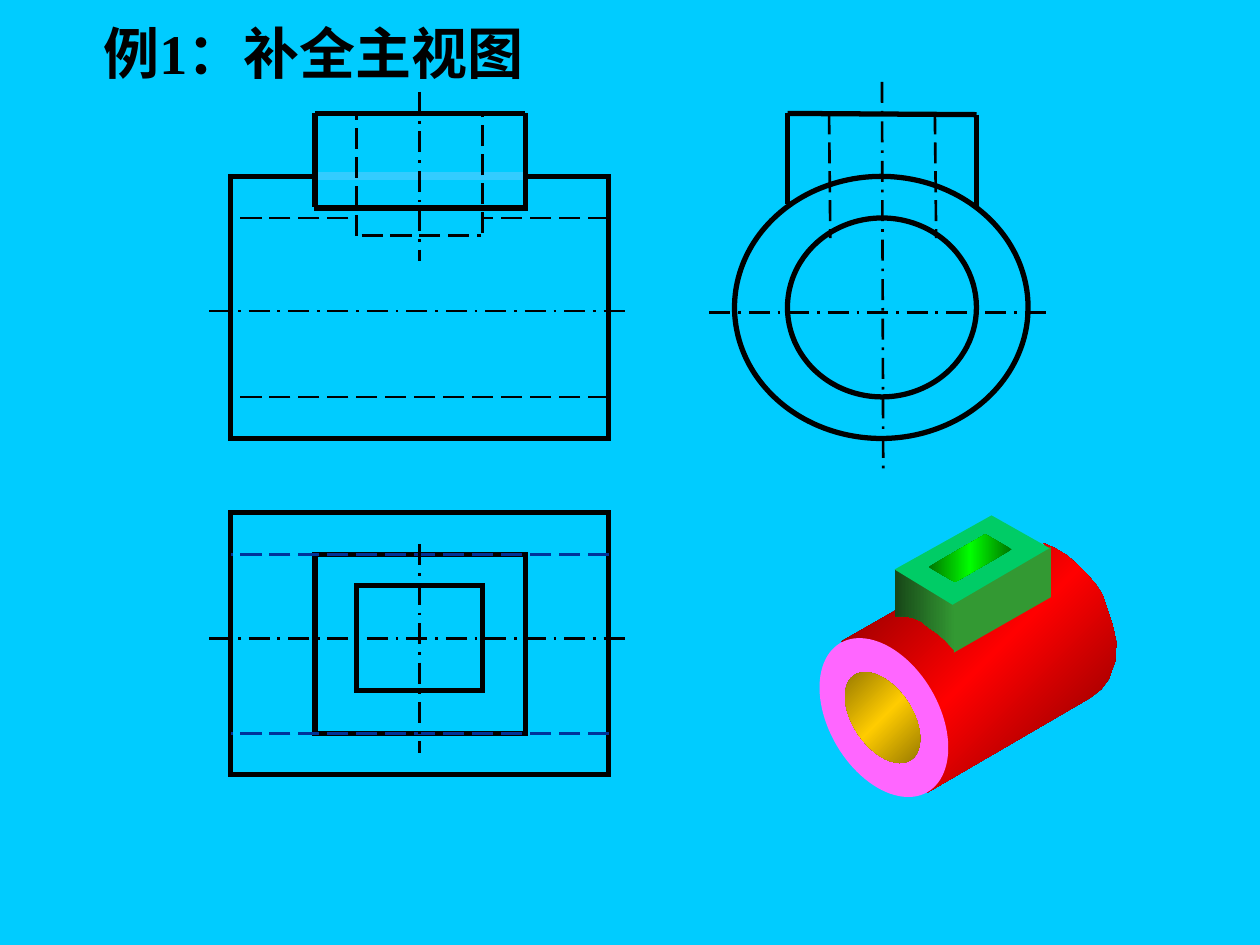
from pptx import Presentation
from pptx.dml.color import RGBColor
from pptx.enum.dml import MSO_LINE
from pptx.enum.shapes import MSO_CONNECTOR, MSO_SHAPE
from pptx.enum.text import MSO_ANCHOR, MSO_AUTO_SIZE, PP_ALIGN
from pptx.oxml import parse_xml
from pptx.oxml.ns import nsdecls, qn
from pptx.util import Inches, Pt

TITLE = "例1：补全主视图"
COLORS = {
    "background": "00CCFF", "ink": "000000", "hidden": "003399", "faint": "33CCFF",
    "ring": "FF66FF", "side": "339933", "top": "00CC66",
    "red": "FF0000", "dark red": "750000", "side shade": "174617",
    "green": "00FF00", "dark green": "007500", "gold": "FFCC00", "dark gold": "755E00",
}
STYLES = {
    "solid": ("ink", 3, None),
    "dash": ("ink", 1.5, MSO_LINE.LONG_DASH),
    "axis": ("ink", 1.5, MSO_LINE.LONG_DASH_DOT),
    "hidden": ("hidden", 1.5, MSO_LINE.LONG_DASH),
    "erase": ("background", 3, None),
    "faint": ("faint", 4.5, None),
}
GRADIENTS = {
    "cylinder": (("dark red", "red", "dark red"), 225),
    "end face": (("side", "side shade"), 180),
    "slot": (("dark green", "green", "dark green"), 180),
    "bore": (("dark gold", "gold", "dark gold"), 225),
}

OUTLINES = [
    (MSO_SHAPE.RECTANGLE, 1.83, 1.4, 3, 2.08),
    (MSO_SHAPE.RECTANGLE, 1.83, 4.07, 3, 2.08),
    (MSO_SHAPE.RECTANGLE, 2.5, 4.4, 1.67, 1.42),
    (MSO_SHAPE.RECTANGLE, 2.83, 4.65, 1, 0.83),
    (MSO_SHAPE.OVAL, 5.83, 1.4, 2.33, 2.08),
    (MSO_SHAPE.OVAL, 6.25, 1.73, 1.5, 1.42),
]
FRONT_VIEW = [
    ("axis", 1.66, 2.47, 4.98, 2.47),
    ("dash", 4.83, 1.73, 1.83, 1.73),
    ("dash", 4.83, 3.15, 1.83, 3.15),
    ("solid", 2.49, 1.65, 4.19, 1.65),
    ("dash", 2.87, 1.87, 3.82, 1.87),
    ("erase", 2.83, 1.73, 3.83, 1.73),
    ("faint", 2.5, 1.4, 4.17, 1.4),
    ("solid", 2.5, 0.9, 2.5, 1.64),
    ("solid", 2.5, 0.9, 4.17, 0.9),
    ("solid", 4.17, 0.9, 4.17, 1.67),
    ("dash", 2.83, 1.87, 2.83, 0.9),
    ("dash", 3.83, 1.85, 3.83, 0.9),
    ("axis", 3.33, 0.73, 3.33, 2.07),
]
SIDE_VIEW = [
    ("axis", 5.63, 2.48, 8.36, 2.48),
    ("axis", 7, 0.65, 7.01, 3.73),
    ("solid", 6.25, 0.9, 7.75, 0.91),
    ("solid", 6.25, 0.9, 6.25, 1.62),
    ("solid", 7.75, 0.91, 7.75, 1.65),
    ("dash", 6.58, 0.9, 6.59, 1.89),
    ("dash", 7.42, 0.9, 7.43, 1.89),
]
TOP_VIEW = [
    ("axis", 1.66, 5.07, 5, 5.07),
    ("hidden", 4.83, 4.4, 1.83, 4.4),
    ("hidden", 4.83, 5.82, 1.83, 5.82),
    ("axis", 3.33, 4.32, 3.33, 5.98),
]

CYLINDER = [
    (6.68, 5.09), (7.1, 4.85), (7.15, 4.82), (7.2, 4.85), (7.29, 4.89), (7.35, 4.91),
    (7.38, 4.96), (7.43, 4.99), (7.49, 5.04), (7.54, 5.07), (7.57, 5.16), (8.34, 4.71),
    (8.34, 4.38), (8.28, 4.31), (8.37, 4.35), (8.47, 4.41), (8.56, 4.49), (8.62, 4.55),
    (8.69, 4.63), (8.75, 4.72), (8.79, 4.84), (8.83, 4.96), (8.86, 5.1), (8.85, 5.25),
    (8.8, 5.39), (8.74, 5.47), (8.65, 5.54), (7.36, 6.29), (7.35, 6.15), (7.51, 6.05),
    (7.53, 5.94), (7.51, 5.81), (7.46, 5.68), (7.41, 5.56), (7.35, 5.42), (7.28, 5.34),
    (7.2, 5.27), (7.08, 5.18), (6.96, 5.1), (6.86, 5.07), (6.77, 5.08),
]
END_FACE = [
    (7.1, 4.52), (7.58, 4.8), (7.58, 5.17), (7.5, 5.08), (7.43, 5.02), (7.37, 4.98),
    (7.31, 4.93), (7.24, 4.9), (7.16, 4.89), (7.1, 4.89),
]
SIDE_FACE = [(7.55, 4.76), (7.57, 4.85), (7.57, 5.18), (8.34, 4.74), (8.34, 4.34)]
TOP_FACE = [(7.1, 4.52), (7.56, 4.8), (8.33, 4.35), (7.87, 4.09)]
SLOT = [(7.37, 4.5), (7.82, 4.24), (8.03, 4.36), (7.58, 4.62)]


def rgb(name):
    return RGBColor.from_string(COLORS[name])


def paint(shape, fill):
    shape.shadow.inherit = False
    shape.line.fill.background()
    if fill not in GRADIENTS:
        shape.fill.solid()
        shape.fill.fore_color.rgb = rgb(fill)
        return
    names, angle = GRADIENTS[fill]
    stops = "".join(
        f'<a:gs pos="{100000 * index // (len(names) - 1)}"><a:srgbClr val="{COLORS[name]}"/></a:gs>'
        for index, name in enumerate(names))
    shape.fill.gradient()
    properties = shape._element.spPr
    properties.replace(properties.find(qn("a:gradFill")), parse_xml(
        f'<a:gradFill {nsdecls("a")} rotWithShape="0"><a:gsLst>{stops}</a:gsLst>'
        f'<a:lin ang="{angle * 60000}" scaled="0"/></a:gradFill>'))


def add_outline(shapes, kind, *box):
    shape = shapes.add_shape(kind, *map(Inches, box))
    shape.shadow.inherit = False
    shape.fill.background()
    shape.line.color.rgb = rgb("ink")
    shape.line.width = Pt(3)
    shape._element.spPr.find(qn("a:ln")).append(
        parse_xml(f'<a:miter {nsdecls("a")} lim="800000"/>'))


def add_line(shapes, style, *ends):
    color, width, dash = STYLES[style]
    connector = shapes.add_connector(MSO_CONNECTOR.STRAIGHT, *map(Inches, ends))
    connector.line.color.rgb = rgb(color)
    connector.line.width = Pt(width)
    if dash:
        connector.line.dash_style = dash
    connector._element.spPr.append(parse_xml(f'<a:effectLst {nsdecls("a")}/>'))


def add_face(shapes, points, fill):
    corners = [(Inches(x), Inches(y)) for x, y in points]
    builder = shapes.build_freeform(*corners[0])
    builder.add_line_segments(corners[1:], close=True)
    paint(builder.convert_to_shape(), fill)


def add_ellipse(shapes, box, rotation, fill):
    shape = shapes.add_shape(MSO_SHAPE.OVAL, *map(Inches, box))
    shape.rotation = rotation
    paint(shape, fill)


def add_title(slide):
    title = slide.shapes.title
    title.left, title.top, title.width, title.height = map(Inches, (0.72, 0.1, 4.2, 0.64))
    frame = title.text_frame
    frame.text = TITLE
    frame.word_wrap = False
    frame.auto_size = MSO_AUTO_SIZE.NONE
    frame.vertical_anchor = MSO_ANCHOR.TOP
    paragraph = frame.paragraphs[0]
    paragraph.alignment = PP_ALIGN.LEFT
    font = paragraph.font
    font.name, font.size, font.bold = "Times New Roman", Pt(32), True
    font.color.rgb = rgb("ink")


def main():
    presentation = Presentation()
    presentation.slide_width, presentation.slide_height = Inches(10), Inches(7.5)
    slide = presentation.slides.add_slide(presentation.slide_layouts[5])
    slide.background.fill.solid()
    slide.background.fill.fore_color.rgb = rgb("background")
    add_title(slide)
    shapes = slide.shapes
    for outline in OUTLINES:
        add_outline(shapes, *outline)
    for line in FRONT_VIEW + SIDE_VIEW + TOP_VIEW:
        add_line(shapes, *line)
    add_face(shapes, CYLINDER, "cylinder")
    add_ellipse(shapes, (6.58, 5.01, 0.87, 1.37), 329.6, "ring")
    add_face(shapes, END_FACE, "end face")
    add_face(shapes, SIDE_FACE, "side")
    add_face(shapes, TOP_FACE, "top")
    add_face(shapes, SLOT, "slot")
    add_ellipse(shapes, (6.77, 5.29, 0.47, 0.81), 326.1, "bore")
    presentation.save("out.pptx")


if __name__ == "__main__":
    main()
